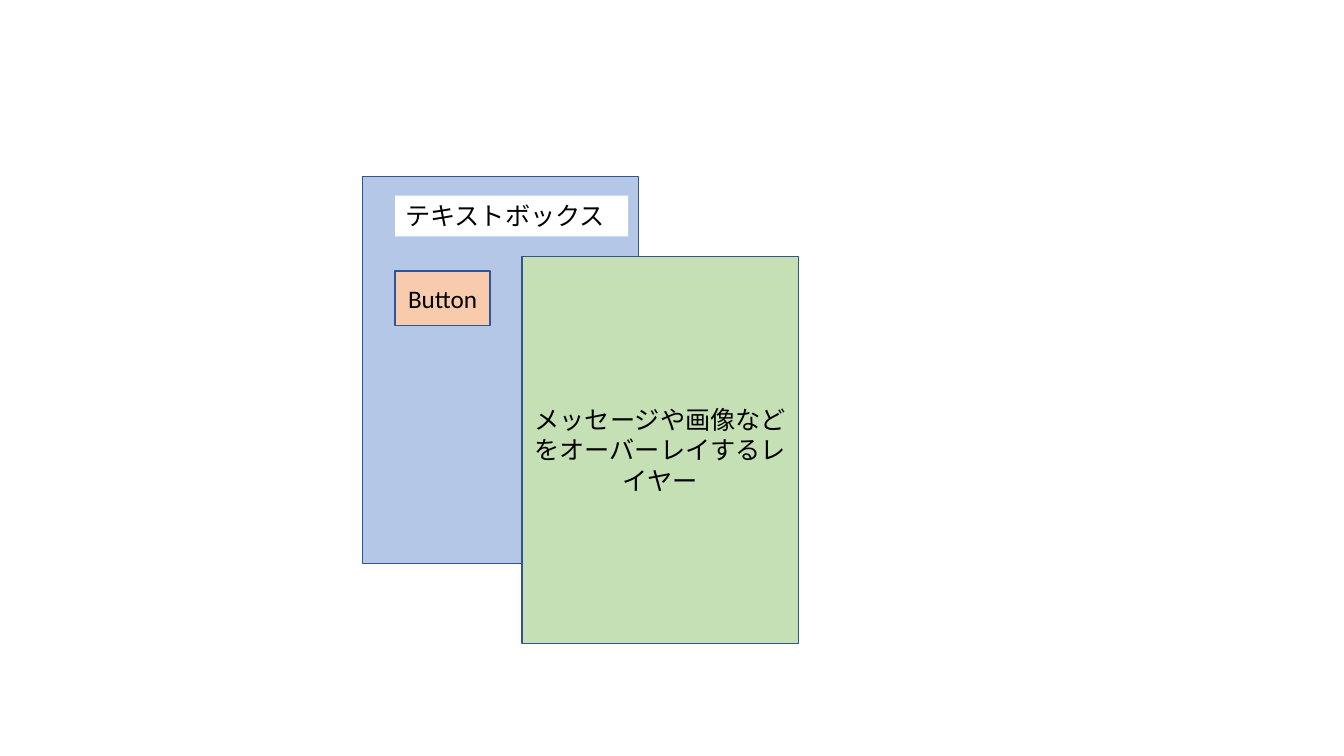
"""Build a slide of a form screen with an overlay layer in front of it."""
from pptx import Presentation
from pptx.dml.color import RGBColor
from pptx.enum.shapes import MSO_SHAPE
from pptx.enum.text import MSO_ANCHOR as Anchor, MSO_AUTO_SIZE as AutoSize, PP_ALIGN as Align
from pptx.util import Cm, Pt

FONT = "Calibri"
BLACK, WHITE, OUTLINE = "000000", "FFFFFF", "325491"
SCREEN_COLOR, OVERLAY_COLOR, BUTTON_COLOR = "B4C7E7", "C5E0B4", "F8CBAD"
OVERLAY_TEXT = "メッセージや画像などをオーバーレイするレイヤー"
FIELD_TEXT = "テキストボックス"
BUTTON_TEXT = "Button"

SCREEN_LEFT, SCREEN_TOP = 9.14, 4.45
LAYER_SIZE = (6.96, 9.75)
OVERLAY_SHIFT = (4.02, 2.01)
CONTROL_LEFT = SCREEN_LEFT + 0.82


def color(hex_value):
    return RGBColor.from_string(hex_value)


def write(shape, text, align, anchor):
    frame = shape.text_frame
    frame.word_wrap = True
    frame.vertical_anchor = anchor
    paragraph = frame.paragraphs[0]
    paragraph.text = text
    paragraph.alignment = align
    paragraph.font.name = FONT
    paragraph.font.size = Pt(18)
    paragraph.font.color.rgb = color(BLACK)


def add_panel(slide, left, top, width, height, fill, text=""):
    shape = slide.shapes.add_shape(
        MSO_SHAPE.RECTANGLE, Cm(left), Cm(top), Cm(width), Cm(height))
    shape.shadow.inherit = False
    shape.fill.solid()
    shape.fill.fore_color.rgb = color(fill)
    shape.line.color.rgb = color(OUTLINE)
    shape.line.width = Pt(1)
    if text:
        write(shape, text, Align.CENTER, Anchor.MIDDLE)


def add_field(slide, left, top, width, height, text):
    box = slide.shapes.add_textbox(Cm(left), Cm(top), Cm(width), Cm(height))
    box.fill.solid()
    box.fill.fore_color.rgb = color(WHITE)
    write(box, text, Align.LEFT, Anchor.TOP)
    box.text_frame.auto_size = AutoSize.SHAPE_TO_FIT_TEXT


def main():
    presentation = Presentation()
    presentation.slide_width, presentation.slide_height = Cm(33.87), Cm(19.05)
    slide = presentation.slides.add_slide(presentation.slide_layouts[6])

    add_panel(slide, SCREEN_LEFT, SCREEN_TOP, *LAYER_SIZE, SCREEN_COLOR)
    add_panel(slide, SCREEN_LEFT + OVERLAY_SHIFT[0], SCREEN_TOP + OVERLAY_SHIFT[1],
              *LAYER_SIZE, OVERLAY_COLOR, OVERLAY_TEXT)
    add_field(slide, CONTROL_LEFT, SCREEN_TOP + 0.48, 5.87, 1.03, FIELD_TEXT)
    add_panel(slide, CONTROL_LEFT, SCREEN_TOP + 2.38, 2.39, 1.37,
              BUTTON_COLOR, BUTTON_TEXT)

    presentation.save("out.pptx")


if __name__ == "__main__":
    main()
